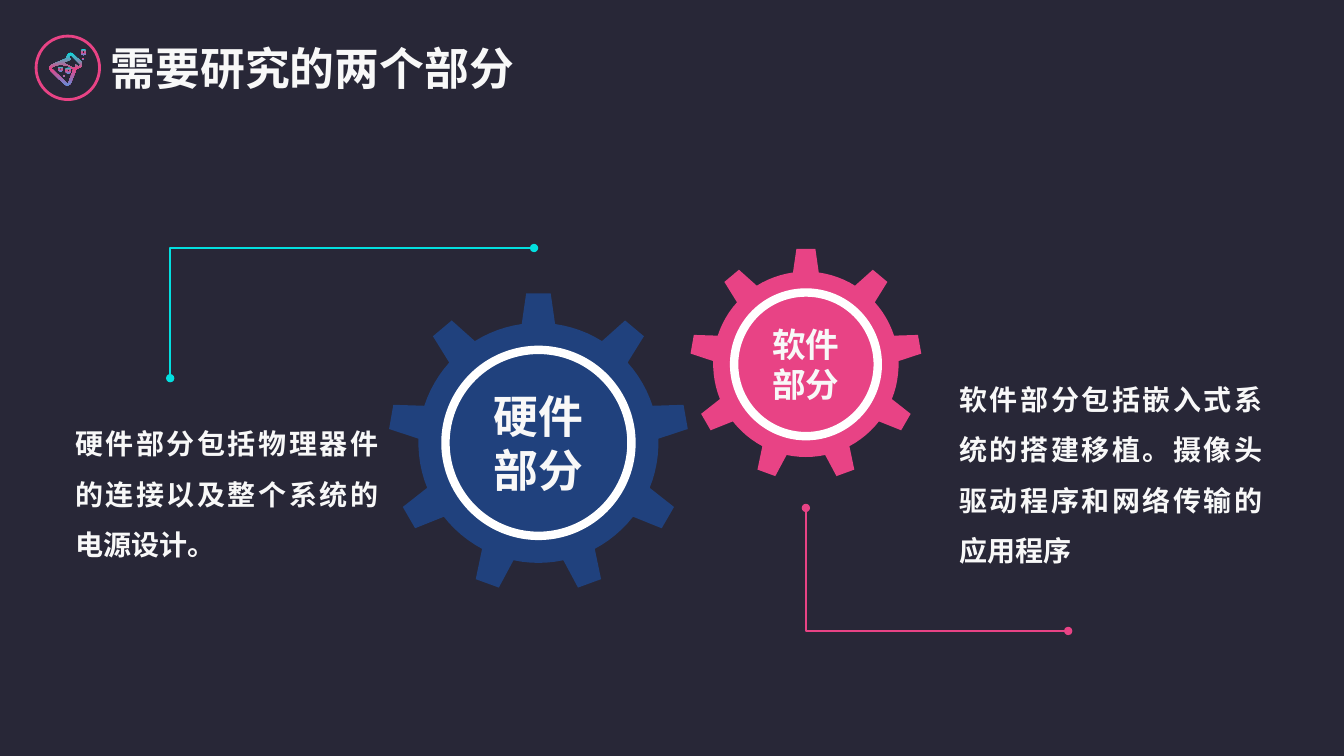
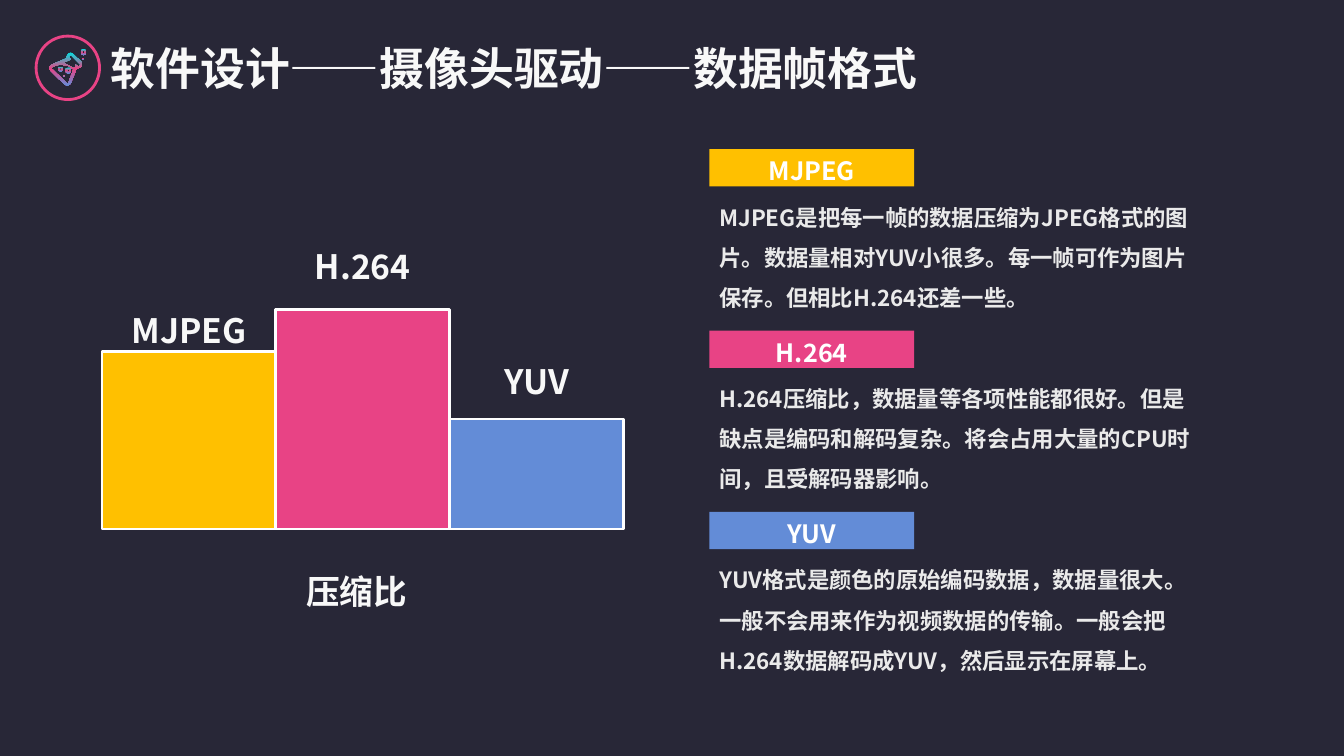
from copy import deepcopy
from math import cos, radians, sin

from lxml import etree
from pptx import Presentation
from pptx.dml.color import RGBColor
from pptx.enum.shapes import MSO_SHAPE
from pptx.enum.text import MSO_ANCHOR, PP_ALIGN
from pptx.oxml.ns import qn
from pptx.util import Cm, Pt

ELLIPSE, DONUT, RECTANGLE = MSO_SHAPE.OVAL, MSO_SHAPE.DONUT, MSO_SHAPE.RECTANGLE
LEFT, CENTER, JUSTIFY = PP_ALIGN.LEFT, PP_ALIGN.CENTER, PP_ALIGN.JUSTIFY
TOP, MIDDLE = MSO_ANCHOR.TOP, MSO_ANCHOR.MIDDLE

FONT = "Noto Sans CJK SC"
NIGHT, NAVY, PINK, CYAN = "282737", "20417D", "E84385", "03DFDF"
BLUE, YELLOW = "638CD7", "FFC000"
WHITE, SNOW, MIST = "FFFFFF", "F8F8F8", "EAEAEA"
GRADIENT = [(0, CYAN), (0.49, PINK), (1, BLUE)]

# Flask icon in the title: outline, neck opening, liquid (cm)
FLASK = [
    [(1.83, 1.35), (1.78, 1.32), (1.73, 1.35), (1.68, 1.42), (1.68, 1.47),
     (1.3, 1.63), (1.24, 1.7), (1.27, 1.78), (1.63, 2.13), (1.7, 2.16),
     (1.78, 2.11), (1.93, 1.73), (2.03, 1.7), (2.08, 1.63), (2.06, 1.57)],
    [(2.03, 1.63), (1.98, 1.68), (1.91, 1.63), (1.88, 1.73), (1.63, 1.6),
     (1.55, 1.6), (1.78, 1.5), (1.73, 1.42), (1.8, 1.4)],
    [(1.73, 2.08), (1.7, 2.11), (1.3, 1.73), (1.32, 1.68), (1.5, 1.63),
     (1.7, 1.65), (1.85, 1.75)],
]
BUBBLES = [(DONUT, 1.65, 1.7, 0.15), (DONUT, 2.03, 1.24, 0.15),
           (DONUT, 1.47, 1.68, 0.12), (ELLIPSE, 1.58, 1.88, 0.06),
           (ELLIPSE, 2.06, 1.45, 0.05)]

FORMATS = [
    ("MJPEG", YELLOW, "MJPEG是把每一帧的数据压缩为JPEG格式的图片。数据量相对YUV小很多。"
     "每一帧可作为图片保存。但相比H.264还差一些。"),
    ("H.264", PINK, "H.264压缩比，数据量等各项性能都很好。但是缺点是编码和解码复杂。"
     "将会占用大量的CPU时间，且受解码器影响。"),
    ("YUV", BLUE, "YUV格式是颜色的原始编码数据，数据量很大。一般不会用来作为视频数据的传输。"
     "一般会把H.264数据解码成YUV，然后显示在屏幕上。"),
]
# Bar height and top of its label (cm)
BARS = [(4.47, 7.47), (5.54, 5.87), (2.77, 8.76)]


def rgb(color):
    return RGBColor.from_string(color)


def paint(shape, fill=None, line=None, line_width=1):
    shape.shadow.inherit = False
    if fill:
        shape.fill.solid()
        shape.fill.fore_color.rgb = rgb(fill)
    else:
        shape.fill.background()
    if line:
        shape.line.color.rgb = rgb(line)
        shape.line.width = Pt(line_width)
    else:
        shape.line.fill.background()


def paint_gradient(shape):
    paint(shape)
    shape.fill.gradient()
    shape.fill.gradient_angle = 270
    stop_list = shape.element.spPr.find(".//" + qn("a:gsLst"))
    stop_list.append(deepcopy(stop_list[0]))
    for stop, (position, color) in zip(shape.fill.gradient_stops, GRADIENT):
        stop.position = position
        stop.color.rgb = rgb(color)


def write_text(shape, *lines, size, color=SNOW, align=LEFT, spacing=None,
               anchor=TOP, wrap=True, margins=True):
    frame = shape.text_frame
    frame.word_wrap = wrap
    frame.vertical_anchor = anchor
    if not margins:
        frame.margin_left = frame.margin_right = 0
        frame.margin_top = frame.margin_bottom = 0
    for index, line in enumerate(lines):
        paragraph = frame.add_paragraph() if index else frame.paragraphs[0]
        paragraph.alignment = align
        paragraph.line_spacing = spacing
        run = paragraph.add_run()
        run.text = line
        run.font.size = Pt(size)
        run.font.bold = True
        run.font.color.rgb = rgb(color)
        run.font.name = FONT
        east_asian = etree.SubElement(run._r.get_or_add_rPr(), qn("a:ea"))
        east_asian.set("typeface", FONT)


def add_text(slide, left, top, width, height, *lines, **text_format):
    box = slide.shapes.add_textbox(Cm(left), Cm(top), Cm(width), Cm(height))
    write_text(box, *lines, **text_format)


def add_preset(slide, kind, left, top, width, height, **style):
    shape = slide.shapes.add_shape(kind, Cm(left), Cm(top), Cm(width), Cm(height))
    paint(shape, **style)
    return shape


def add_outline(slide, contours, close=True):
    contours = [[(Cm(x), Cm(y)) for x, y in contour] for contour in contours]
    builder = slide.shapes.build_freeform(*contours[0][0])
    for index, (start, *others) in enumerate(contours):
        if index:
            builder.move_to(*start)
        builder.add_line_segments(others, close=close)
    return builder.convert_to_shape()


def add_elbow(slide, points, color):
    """Thin bent line with a dot at each end."""
    elbow = add_outline(slide, [points], close=False)
    paint(elbow, line=color)
    line = elbow.element.spPr.find(qn("a:ln"))
    for end in ("a:headEnd", "a:tailEnd"):
        etree.SubElement(line, qn(end)).set("type", "oval")


def add_gear(slide, center_x, center_y, radius, color, lines, size):
    """Nine-toothed gear with a white ring and a centred label."""
    teeth, root = 9, 0.8 * radius
    pitch = 360 / teeth
    profile = [(-8, root), (-4.7, radius), (4.7, radius)]
    profile += [(angle, root) for angle in range(8, 32, 4)]
    points = []
    for tooth in range(teeth):
        for angle, distance in profile:
            turn = radians(tooth * pitch + angle)
            points.append((center_x + distance * sin(turn),
                           center_y - distance * cos(turn)))
    paint(add_outline(slide, [points]), fill=color)
    ring = 0.62 * radius
    disc = add_preset(slide, ELLIPSE, center_x - ring, center_y - ring,
                      2 * ring, 2 * ring, fill=color, line=WHITE, line_width=6)
    write_text(disc, *lines, size=size, align=CENTER, anchor=MIDDLE, wrap=False)


def add_titled_slide(presentation, title):
    slide = presentation.slides.add_slide(presentation.slide_layouts[6])
    add_preset(slide, ELLIPSE, 0.91, 0.91, 1.6, 1.6, line=PINK, line_width=2)
    paint_gradient(add_outline(slide, FLASK))
    for kind, left, top, diameter in BUBBLES:
        paint_gradient(add_preset(slide, kind, left, top, diameter, diameter))
    add_text(slide, 2.54, 0.89, 25.2, 1.63, title, size=32)
    return slide


def build_parts_slide(presentation):
    slide = add_titled_slide(presentation, "需要研究的两个部分")
    body = {"size": 20, "align": JUSTIFY, "spacing": 1.5}

    # Hardware
    add_gear(slide, 13.57, 11.16, 3.78, NAVY, ("硬件", "部分"), 32)
    add_elbow(slide, [(13.46, 6.25), (4.29, 6.25), (4.29, 9.53)], CYAN)
    add_text(slide, 1.65, 10.21, 8.13, 4.11,
             "硬件部分包括物理器件的连接以及整个系统的电源设计。", **body)

    # Software
    add_gear(slide, 20.31, 9.18, 2.92, PINK, ("软件", "部分"), 24)
    add_elbow(slide, [(20.31, 12.8), (20.31, 15.9), (26.92, 15.9)], PINK)
    add_text(slide, 23.93, 9.09, 8.13, 5.38,
             "软件部分包括嵌入式系统的搭建移植。摄像头驱动程序和网络传输的应用程序", **body)


def build_formats_slide(presentation):
    slide = add_titled_slide(presentation, "软件设计——摄像头驱动——数据帧格式")
    label = {"size": 24, "align": CENTER, "spacing": 1.2}
    bar_left, bar_width, baseline = 2.57, 4.38, 13.33
    block_left, block_top, block_step = 17.88, 3.76, 4.57

    for index, ((name, color, description), (height, label_top)) in enumerate(
            zip(FORMATS, BARS)):
        # Compression bar
        left = bar_left + index * bar_width
        add_preset(slide, RECTANGLE, left, baseline - height, bar_width, height,
                   fill=color, line=WHITE, line_width=2)
        add_text(slide, left, label_top, bar_width, 1.37, name, **label)

        # Heading and description
        top = block_top + index * block_step
        heading = add_preset(slide, RECTANGLE, block_left, top, 5.16, 0.94, fill=color)
        write_text(heading, name, size=18, color=WHITE, align=CENTER,
                   spacing=1.2, anchor=MIDDLE, margins=False)
        add_text(slide, block_left, top + 0.91, 12.75, 3.33, description,
                 size=16, color=MIST, spacing=1.5)

    add_text(slide, 6.96, 14.05, 4.06, 1.37, "压缩比", **label)


def main():
    presentation = Presentation()
    presentation.slide_width, presentation.slide_height = Cm(33.87), Cm(19.05)
    background = presentation.slide_master.background.fill
    background.solid()
    background.fore_color.rgb = rgb(NIGHT)
    build_parts_slide(presentation)
    build_formats_slide(presentation)
    presentation.save("out.pptx")


if __name__ == "__main__":
    main()
